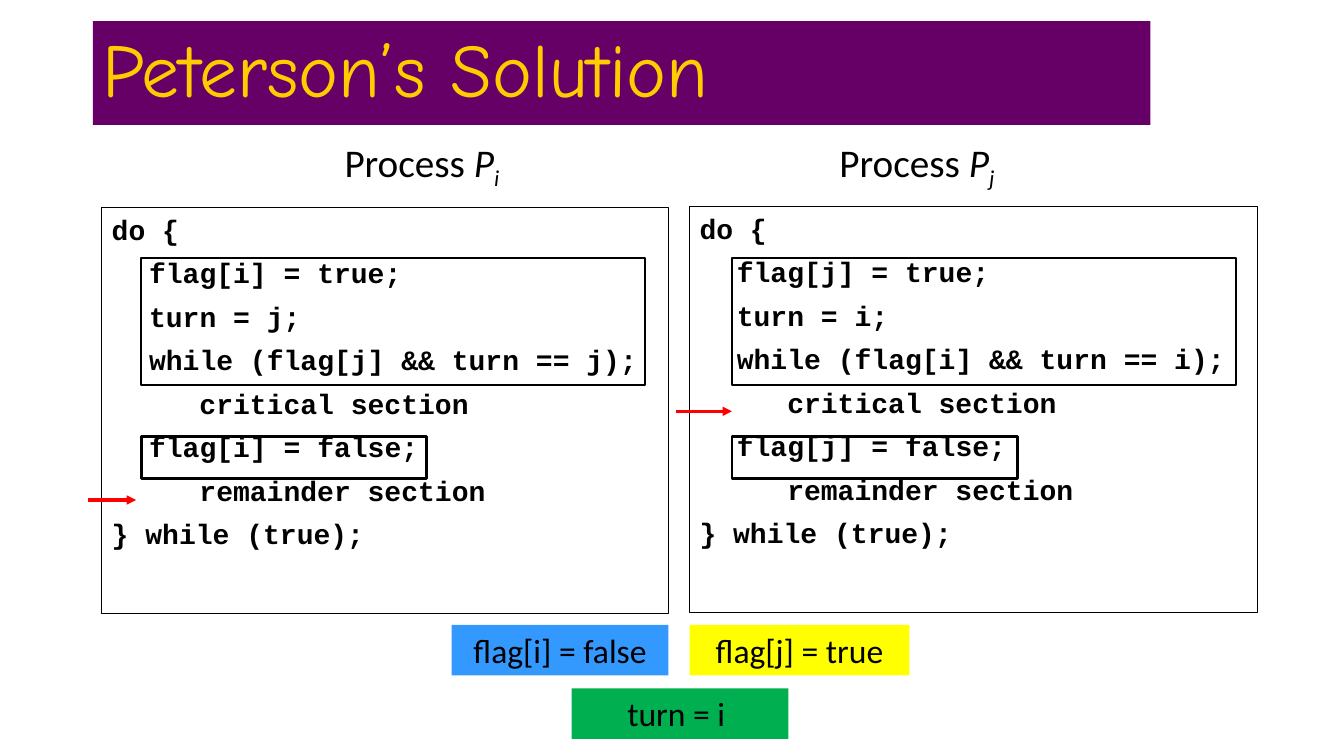
from lxml import etree
from pptx import Presentation, util as u
from pptx.dml.color import RGBColor
from pptx.enum import shapes, text
from pptx.oxml.ns import qn

BLACK = RGBColor(0x00, 0x00, 0x00)
WHITE = RGBColor(0xFF, 0xFF, 0xFF)
PURPLE = RGBColor(0x66, 0x00, 0x66)
GOLD = RGBColor(0xFF, 0xCC, 0x00)
BLUE = RGBColor(0x33, 0x99, 0xFF)
YELLOW = RGBColor(0xFF, 0xFF, 0x00)
GREEN = RGBColor(0x00, 0xB0, 0x50)
RED = RGBColor(0xFF, 0x00, 0x00)

CODE = """do {
\tflag[{me}] = true;
\tturn = {other};
\twhile (flag[{other}] && turn == {other});
\t\tcritical section
\tflag[{me}] = false;
\t\tremainder section
} while (true);"""


def add_run(paragraph, words, size=24, font="Calibri", color=BLACK,
            bold=None, italic=None, baseline=None):
    run = paragraph.add_run()
    run.text = words
    run.font.size = u.Pt(size)
    run.font.name = font
    run.font.color.rgb = color
    run.font.bold = bold
    run.font.italic = italic
    if baseline is not None:
        run.font._element.set("baseline", str(baseline * 1000))


def hang_code_line(paragraph):
    """Give a hanging indent and 35 % space before."""
    props = paragraph._p.get_or_add_pPr()
    props.set("marL", str(u.Inches(0.37)))
    props.set("indent", str(-u.Inches(0.37)))
    before = etree.SubElement(props, qn("a:spcBef"))
    etree.SubElement(before, qn("a:spcPct")).set("val", "35000")


class Board:
    def __init__(self, slide):
        self.slide = slide

    def box(self, left, top, width, height, fill=None, line=None):
        """Add a rectangle; line is the width of a black outline in points."""
        box = self.slide.shapes.add_shape(
            shapes.MSO_SHAPE.RECTANGLE, *map(u.Inches, (left, top, width, height)))
        box.shadow.inherit = False
        if fill is None:
            box.fill.background()
        else:
            box.fill.solid()
            box.fill.fore_color.rgb = fill
        if line is None:
            box.line.fill.background()
        else:
            box.line.color.rgb = BLACK
            box.line.width = u.Pt(line)
        return box

    def title(self, words):
        banner = self.box(0.92, 0.21, 10.49, 1.03, PURPLE)
        banner.text_frame.vertical_anchor = text.MSO_ANCHOR.MIDDLE
        heading = banner.text_frame.paragraphs[0]
        heading.alignment = text.PP_ALIGN.LEFT
        heading.line_spacing = 0.9
        add_run(heading, words, size=54, font="Comic Neue", color=GOLD)

    def process_heading(self, left, me):
        label = self.slide.shapes.add_textbox(
            *map(u.Inches, (left, 1.32, 3.67, 0.57)))
        label.text_frame.word_wrap = True
        heading = label.text_frame.paragraphs[0]
        heading.alignment = text.PP_ALIGN.CENTER
        add_run(heading, "Process ", size=28)
        add_run(heading, "P", size=28, italic=True)
        add_run(heading, me, size=28, italic=True, baseline=-25)

    def listing(self, left, top, width, code):
        frame = self.box(left, top, width, 4.03, line=0.75).text_frame
        frame.vertical_anchor = text.MSO_ANCHOR.TOP
        for number, code_line in enumerate(code.splitlines()):
            paragraph = frame.add_paragraph() if number else frame.paragraphs[0]
            paragraph.alignment = text.PP_ALIGN.LEFT
            hang_code_line(paragraph)
            add_run(paragraph, code_line, size=20, font="Courier New", bold=True)

    def variable(self, left, top, width, words, fill):
        frame = self.box(left, top, width, 0.5, fill).text_frame
        frame.vertical_anchor = text.MSO_ANCHOR.TOP
        frame.paragraphs[0].alignment = text.PP_ALIGN.CENTER
        add_run(frame.paragraphs[0], words)

    def arrow(self, left, right, y):
        arrow = self.slide.shapes.add_connector(
            shapes.MSO_CONNECTOR.STRAIGHT, *map(u.Inches, (left, y, right, y)))
        arrow.line.color.rgb = RED
        arrow.line.width = u.Pt(2.25)
        outline = arrow.line._get_or_add_ln()
        etree.SubElement(outline, qn("a:tailEnd")).set("type", "triangle")
        etree.SubElement(arrow._element.spPr, qn("a:effectLst"))


def main():
    deck = Presentation()
    deck.slide_width, deck.slide_height = u.Inches(13.33), u.Inches(7.5)
    board = Board(deck.slides.add_slide(deck.slide_layouts[6]))

    for left in (1.4, 7.26):
        board.box(left, 4.33, 2.83, 0.42, WHITE, line=2)
        board.box(left, 2.56, 5, 1.26, WHITE, line=1.5)

    board.title("Peterson’s Solution")
    for me, other, heading_left, left, top, width in (
            ("i", "j", 2.35, 1.01, 2.06, 5.62),
            ("j", "i", 7.26, 6.84, 2.05, 5.63)):
        code = CODE.replace("{me}", me).replace("{other}", other)
        board.listing(left, top, width, code)
        board.process_heading(heading_left, me)

    board.variable(4.48, 6.2, 2.15, "flag[i] = false", BLUE)
    board.variable(6.84, 6.2, 2.18, "flag[j] = true", YELLOW)
    board.variable(5.67, 6.83, 2.15, "turn = i ", GREEN)
    board.arrow(0.87, 1.35, 4.96)
    board.arrow(6.7, 7.26, 4.08)

    deck.save("out.pptx")


if __name__ == "__main__":
    main()
